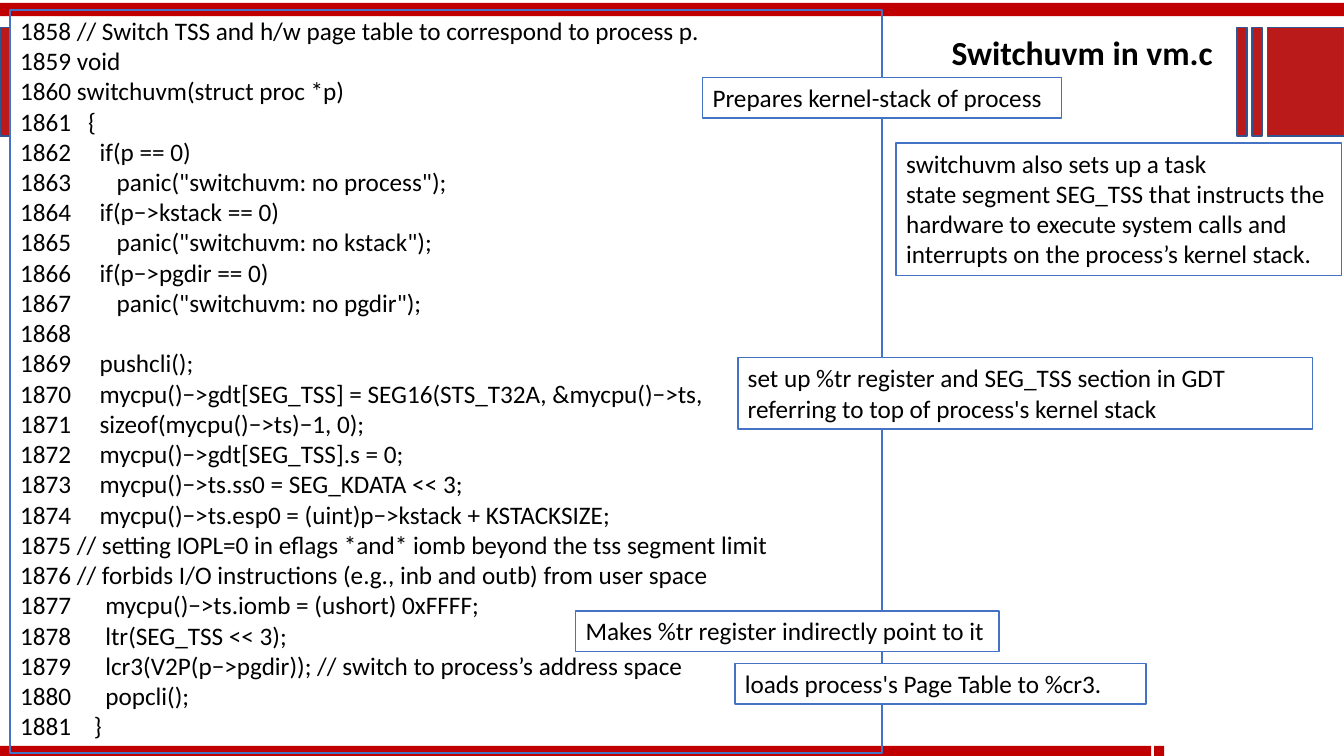
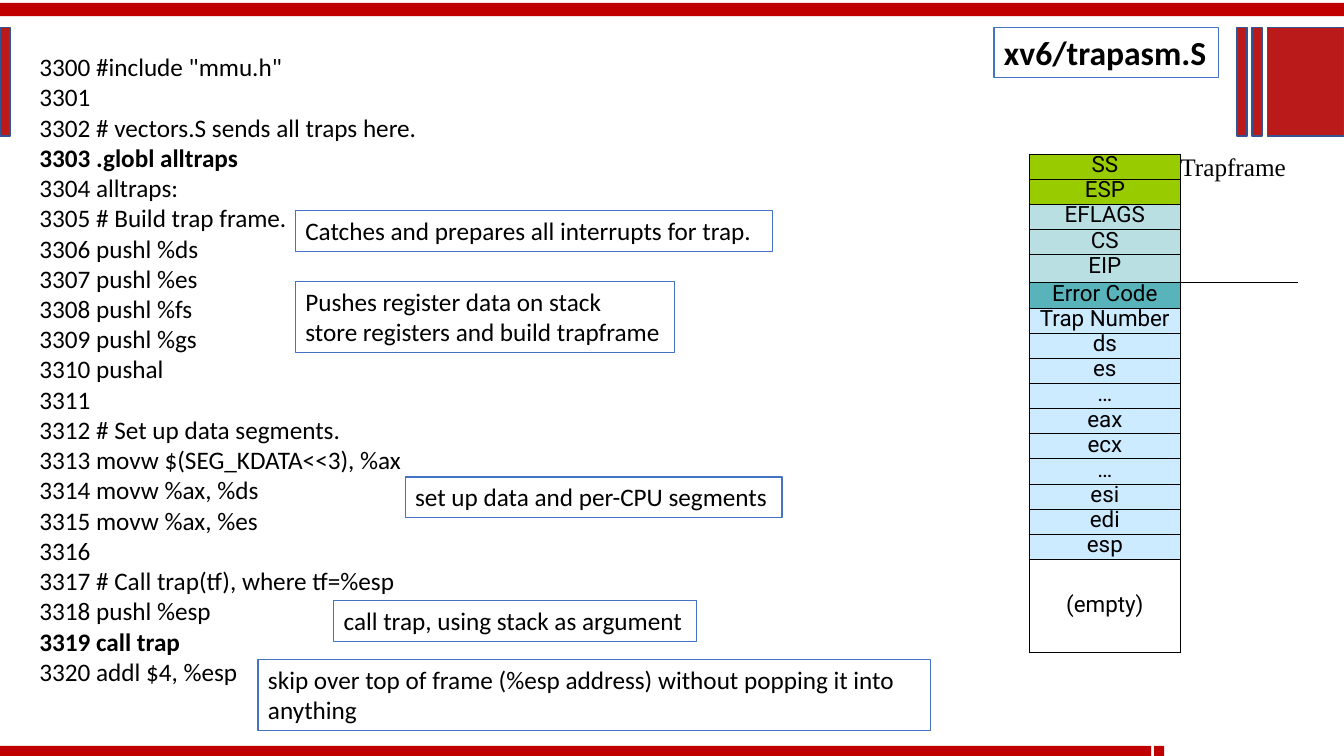
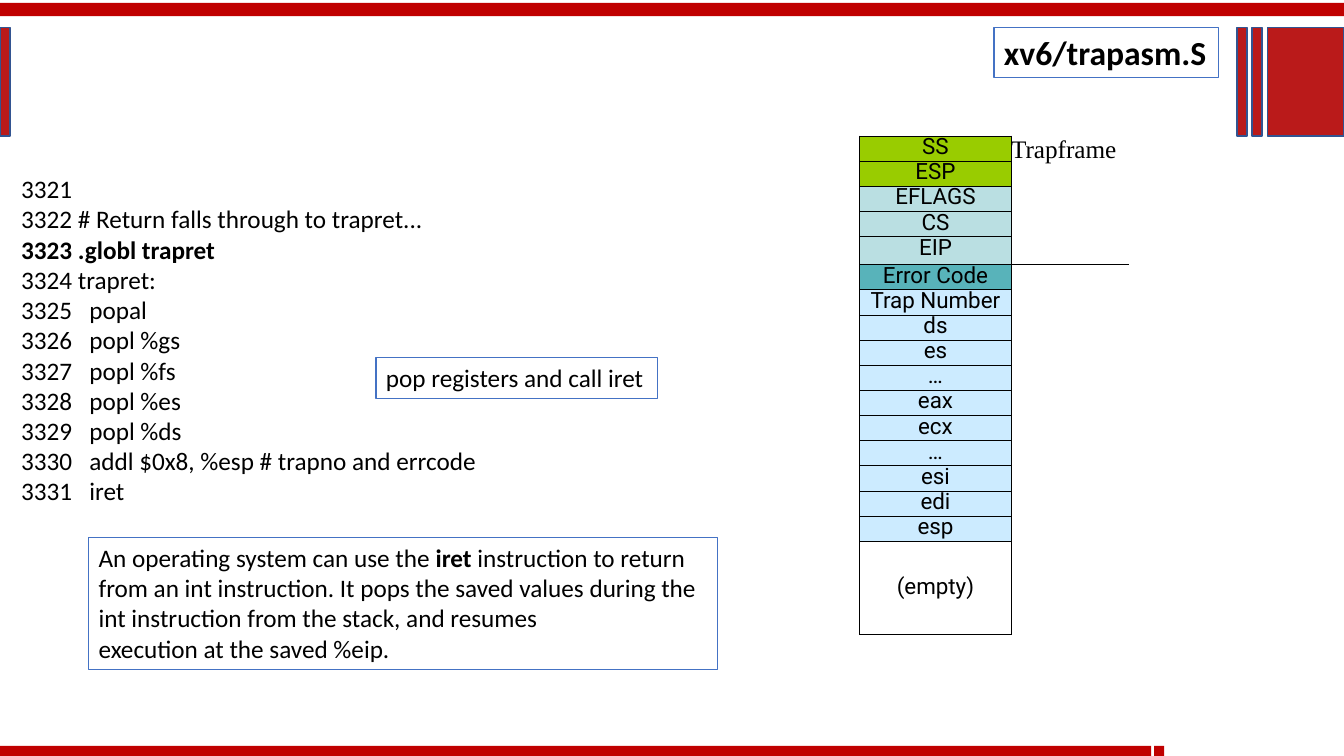
from dataclasses import dataclass

from lxml import etree
from pptx import Presentation, util as u
from pptx.dml.color import RGBColor
from pptx.enum import shapes, text as t
from pptx.oxml.ns import qn

# Shared look
RED = RGBColor(0xC0, 0x00, 0x00)
BRICK = RGBColor(0xBA, 0x1A, 0x1A)
NAVY = RGBColor(0x32, 0x54, 0x91)
BLUE = RGBColor(0x44, 0x72, 0xC4)
BLACK = RGBColor(0x00, 0x00, 0x00)
WHITE = RGBColor(0xFF, 0xFF, 0xFF)
LIME = RGBColor(0x99, 0xCC, 0x00)
MINT = RGBColor(0xBA, 0xDF, 0xE2)
TEAL = RGBColor(0x58, 0xB3, 0xBA)
SKY = RGBColor(0xCC, 0xEB, 0xFF)

WIDE, HIGH = u.Inches(13.33), u.Inches(7.5)
PLAIN_GRID = "{2D5ABB26-0587-4C30-8999-92F81FD0307C}"


# All lengths below are percentages of the slide's width or height
def across(share: float) -> int:
    return round(WIDE * share / 100)


def down(share: float) -> int:
    return round(HIGH * share / 100)


def tall(lines: int) -> float:
    """Height of a box that holds this many lines of 18 pt text."""
    return 1.33 + 4.04 * lines


@dataclass
class Box:
    x: float
    y: float
    w: float
    h: float

    def place(self) -> tuple:
        return across(self.x), down(self.y), across(self.w), down(self.h)


@dataclass
class Band:
    box: Box
    fill: RGBColor
    line: RGBColor | None = None


@dataclass
class Note:
    x: float
    y: float
    w: float
    text: str
    lines: int = 1


@dataclass
class Page:
    title: str
    head: Box
    code: str
    spot: tuple
    notes: list
    framed: bool = False  # outline round the code instead of the title
    stack: tuple | None = None


BANDS = [
    Band(Box(0, 0.4, 100, 1.73), RED),
    Band(Box(0, 98.67, 85.65, 1.33), RED),
    Band(Box(85.88, 98.67, 0.75, 1.33), RED),
] + [
    Band(Box(x, 3.6, w, 14.4), BRICK, NAVY)
    for x, w in ((0, 0.75), (94.3, 5.7), (93.15, 0.75), (92.03, 0.75))
]

STACK = (
    [(name, LIME) for name in ("SS", "ESP")]
    + [(name, MINT) for name in ("EFLAGS", "CS", "EIP")]
    + [("Error Code", TEAL)]
    + [(name, SKY) for name in ("Trap Number", "ds", "es", "…", "eax", "ecx",
                                "…", "esi", "edi", "esp")]
    + [("(empty)", WHITE)]
)

# Slide contents; ** switches bold on and off
CHECKS = """1858 // Switch TSS and h/w page table to correspond to process p.
1859 void
1860 switchuvm(struct proc *p)
1861   {
1862     if(p == 0)
1863        panic("switchuvm: no process");
1864     if(p−>kstack == 0)
1865        panic("switchuvm: no kstack");
1866     if(p−>pgdir == 0)
1867        panic("switchuvm: no pgdir");
1868"""

LOADS = """1869     pushcli();
1870     mycpu()−>gdt[SEG_TSS] = SEG16(STS_T32A, &mycpu()−>ts,
1871     sizeof(mycpu()−>ts)−1, 0);
1872     mycpu()−>gdt[SEG_TSS].s = 0;
1873     mycpu()−>ts.ss0 = SEG_KDATA << 3;
1874     mycpu()−>ts.esp0 = (uint)p−>kstack + KSTACKSIZE;
1875 // setting IOPL=0 in eflags *and* iomb beyond the tss segment limit
1876 // forbids I/O instructions (e.g., inb and outb) from user space
1877      mycpu()−>ts.iomb = (ushort) 0xFFFF;
1878      ltr(SEG_TSS << 3);
1879      lcr3(V2P(p−>pgdir)); // switch to process’s address space
1880      popcli();
1881    }"""

TRAPS = """3300 #include "mmu.h"
3301
3302 # vectors.S sends all traps here.
**3303 .globl alltraps**
3304 alltraps:
3305 # Build trap frame.
3306 pushl %ds
3307 pushl %es
3308 pushl %fs
3309 pushl %gs
3310 pushal
3311
3312 # Set up data segments.
3313 movw $(SEG_KDATA<<3), %ax
3314 movw %ax, %ds
3315 movw %ax, %es
3316
3317 # Call trap(tf), where tf=%esp
3318 pushl %esp
**3319 call trap**
3320 addl $4, %esp"""

RETURN = """3321
3322 # Return falls through to trapret...
**3323 .globl trapret**
3324 trapret:
3325   popal
3326   popl %gs
3327   popl %fs
3328   popl %es
3329   popl %ds
3330   addl $0x8, %esp # trapno and errcode
3331   iret"""

TRAP_HEAD = Box(73.95, 3.6, 16.73, 6.67)

PAGES = [
    Page("Switchuvm in vm.c", Box(70.05, 3.6, 21.15, 6.67),
         "\n".join((CHECKS, LOADS)), (0.75, 1.33, 64.88), [
             Note(54.68, 87.73, 30.6, "loads process's Page Table to %cr3."),
             Note(52.28, 10.27, 26.7, "Prepares kernel-stack of process"),
             Note(42.83, 80.8, 31.5, "Makes %tr register indirectly point to it"),
             Note(54.9, 47.33, 42.75, "set up %tr register and SEG_TSS section in GDT "
                  "referring to top of process's kernel stack", 2),
             Note(66.68, 18.93, 33.15, "switchuvm also sets up a task\n"
                  "state segment SEG_TSS that instructs the hardware to execute "
                  "system calls and interrupts on the process’s kernel stack.", 4),
         ], framed=True),
    Page("xv6/trapasm.S", TRAP_HEAD, TRAPS, (2.18, 6.13, 47.85), [
        Note(21.98, 27.87, 35.48, "Catches and prepares all interrupts for trap."),
        Note(21.98, 37.2, 28.2, "Pushes register data on stack\n"
             "store registers and build trapframe", 2),
        Note(30.15, 63.07, 28.05, "set up data and per-CPU segments"),
        Note(24.83, 79.47, 27, "call trap, using stack as argument"),
        Note(19.2, 87.2, 50.03, "skip over top of frame (%esp address) without "
             "popping it into anything", 2),
    ], stack=(76.58, 20.4)),
    Page("xv6/trapasm.S", TRAP_HEAD, RETURN, (0.83, 22.27, 37.58), [
        Note(27.98, 47.33, 20.93, "pop registers and call iret"),
        Note(6.6, 71.07, 46.8, "An operating system can use the **iret** instruction "
             "to return from an int instruction. It pops the saved values during "
             "the int instruction from the stack, and resumes\n"
             "execution at the saved %eip.", 4),
    ], stack=(63.98, 18)),
]


def write(frame, text: str, *, size: float = 18, font: str = "Calibri",
          bold: bool = False, align=t.PP_ALIGN.LEFT, lead: float | None = None):
    """Fill a text frame, one paragraph a line."""
    for i, line in enumerate(text.split("\n")):
        para = frame.add_paragraph() if i else frame.paragraphs[0]
        para.alignment = align
        para.space_before = u.Pt(0)
        if lead:
            para.line_spacing = u.Pt(lead)
        props = para._p.get_or_add_pPr()
        props.set("marL", "0")
        props.set("indent", "0")
        etree.SubElement(props, qn("a:buNone"))
        for j, part in enumerate(line.split("**")):
            if part:
                run = para.add_run()
                run.text = part
                run.font.size, run.font.name = u.Pt(size), font
                run.font.bold = bold or j % 2 == 1
                run.font.color.rgb = BLACK


def paint(shape, fill: RGBColor | None, line: RGBColor | None):
    if fill is None:
        shape.fill.background()
    else:
        shape.fill.solid()
        shape.fill.fore_color.rgb = fill
    if line is None:
        shape.line.fill.background()
    else:
        shape.line.color.rgb = line
        shape.line.width = u.Pt(1)


def block(parent, box: Box, fill: RGBColor, line: RGBColor | None):
    shape = parent.add_shape(shapes.MSO_SHAPE.RECTANGLE, *box.place())
    shape.shadow.inherit = False
    paint(shape, fill, line)
    return shape


def setup(frame, anchor, wrap: bool = True):
    frame.word_wrap = wrap
    frame.auto_size = t.MSO_AUTO_SIZE.NONE
    frame.vertical_anchor = anchor


def seat(holder, box: Box):
    holder.left, holder.top, holder.width, holder.height = box.place()


def bands(slide):
    """Draw the red bands behind everything else."""
    group = slide.shapes.add_group_shape()
    for band in BANDS:
        block(group.shapes, band.box, band.fill, band.line)
    slide.shapes.element.insert(2, group.element)


def edge(cell, sides: str):
    """Draw thin black borders on the sides named by L, R, T and B."""
    props = cell._tc.get_or_add_tcPr()
    for i, side in enumerate(sides):
        line = etree.Element(qn(f"a:ln{side}"), w=str(u.Pt(0.75)))
        fill = etree.SubElement(line, qn("a:solidFill"))
        etree.SubElement(fill, qn("a:srgbClr"), val=str(BLACK))
        props.insert(i, line)


def stack(slide, x: float, y: float):
    """Draw the trap frame as a table with a label column."""
    widths = [11.25, 8.78]
    heights = [3.33] * (len(STACK) - 1) + [12.27]
    box = Box(x, y, sum(widths), sum(heights))
    table = slide.shapes.add_table(len(STACK), 2, *box.place()).table
    table.first_row = table.horz_banding = False
    table._tbl.tblPr.find(qn("a:tableStyleId")).text = PLAIN_GRID
    for col, width in zip(table.columns, widths):
        col.width = across(width)
    for row, height, (name, fill) in zip(table.rows, heights, STACK):
        row.height = down(height)
        cell, side = row.cells
        for each in (cell, side):
            each.margin_left = each.margin_right = 0
            each.margin_top = each.margin_bottom = 0
        side.fill.background()
        cell.fill.solid()
        cell.fill.fore_color.rgb = fill
        edge(cell, "LRTB")
        if name == "(empty)":
            cell.vertical_anchor = t.MSO_ANCHOR.MIDDLE
        write(cell.text_frame, name, size=16, font="Roboto",
              align=t.PP_ALIGN.CENTER, lead=17)
    # The label spans the part pushed by hardware, above the error code
    label, rest = table.cell(0, 1), table.cell(5, 1)
    label.merge(table.cell(4, 1))
    rest.merge(table.cell(len(STACK) - 1, 1))
    edge(label, "LB")
    edge(rest, "LT")
    write(label.text_frame, "Trapframe", font="Times New Roman")


def build(deck, page: Page):
    slide = deck.slides.add_slide(deck.slide_layouts[1])
    bands(slide)

    # Title and code
    title, body = slide.placeholders
    seat(title, page.head)
    seat(body, Box(*page.spot, tall(page.code.count("\n") + 1)))
    if page.framed:
        paint(body, None, BLUE)
    else:
        paint(title, WHITE, BLUE)
    setup(title.text_frame, t.MSO_ANCHOR.MIDDLE, wrap=False)
    write(title.text_frame, page.title, size=24, bold=True)
    setup(body.text_frame, t.MSO_ANCHOR.TOP)
    write(body.text_frame, page.code)

    # Trap frame and remarks
    if page.stack:
        stack(slide, *page.stack)
    for note in page.notes:
        box = Box(note.x, note.y, note.w, tall(note.lines))
        shape = block(slide.shapes, box, WHITE, BLUE)
        setup(shape.text_frame, t.MSO_ANCHOR.TOP)
        write(shape.text_frame, note.text)


def main():
    deck = Presentation()
    deck.slide_width, deck.slide_height = WIDE, HIGH
    for page in PAGES:
        build(deck, page)
    deck.save("out.pptx")


if __name__ == "__main__":
    main()
